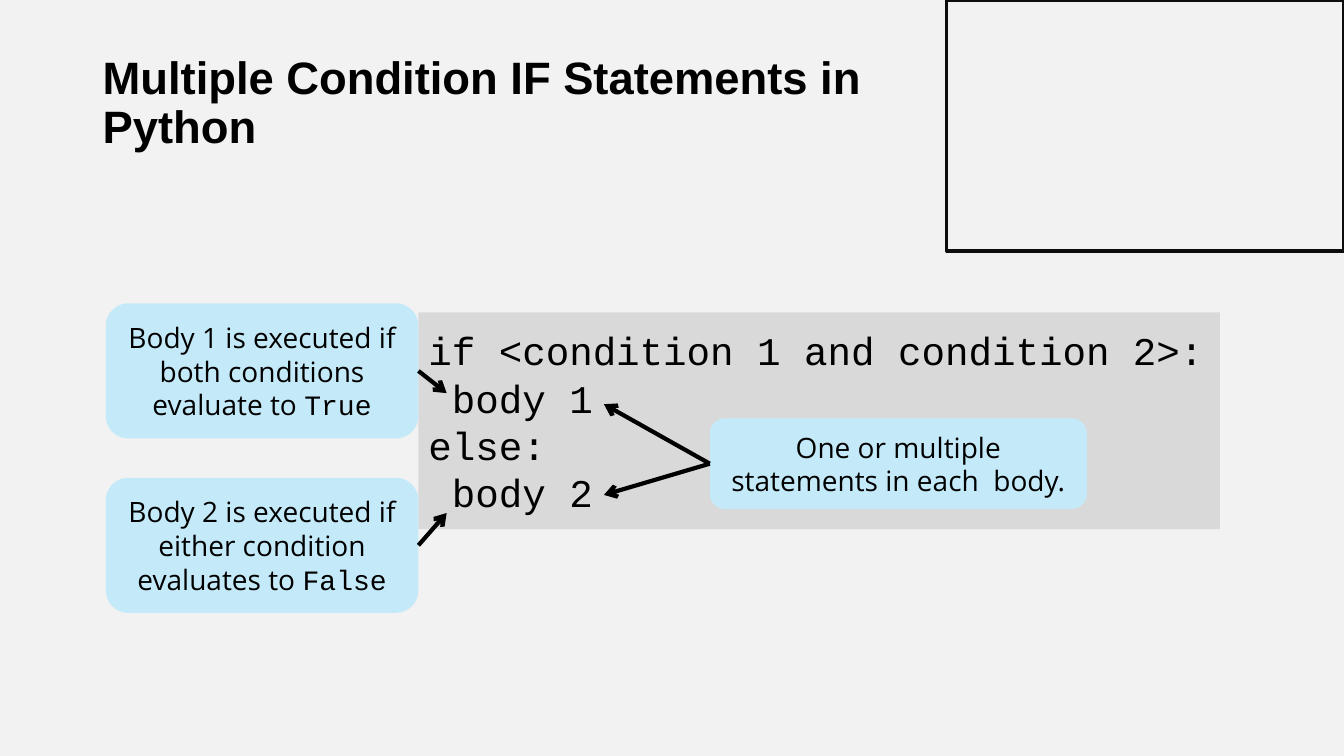
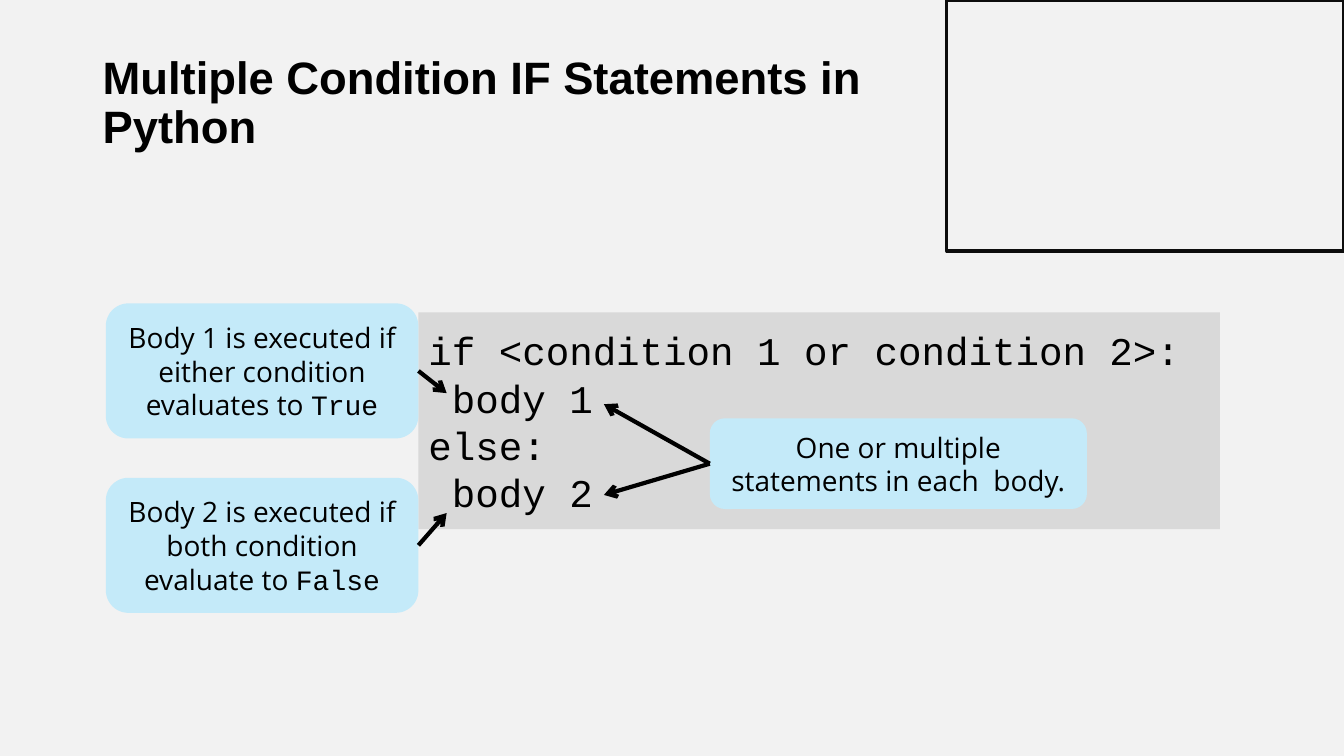
from dataclasses import dataclass

from lxml.etree import SubElement
from pptx import Presentation
from pptx.dml.color import RGBColor
from pptx.enum.shapes import MSO_CONNECTOR as Connector, MSO_SHAPE as Shape
from pptx.enum.text import MSO_ANCHOR as Anchor, PP_ALIGN as Align
from pptx.oxml.ns import qn
from pptx.util import Inches, Pt


@dataclass(frozen=True)
class Theme:
    background: str = "F2F2F2"
    ink: str = "000000"
    frame: str = "0D0D0D"
    code_panel: str = "D9D9D9"
    callout: str = "C4EAF9"
    title_font: str = "Arial"
    body_font: str = "Open Sans"
    code_font: str = "Courier New"
    title_size: float = 32.4
    code_size: float = 28
    callout_size: float = 20
    frame_width: float = 2.25
    arrow_width: float = 3


THEME = Theme()
LEFT_SIDE, RIGHT_SIDE = 1, 3  # connection sites


def write(shape, lines, *, font, size, bold=False, align=Align.LEFT, spacing=None):
    """Fill a shape with lines; each line is a list of (text, font or None) runs."""
    frame = shape.text_frame
    frame.word_wrap = True
    frame.vertical_anchor = Anchor.MIDDLE
    for number, line in enumerate(lines):
        paragraph = frame.add_paragraph() if number else frame.paragraphs[0]
        paragraph.alignment = align
        if spacing:
            paragraph.line_spacing = spacing
        for text, run_font in line:
            run = paragraph.add_run()
            run.text = text
            run.font.name = run_font or font
            run.font.size = Pt(size)
            run.font.bold = bold
            run.font.color.rgb = RGBColor.from_string(THEME.ink)


class Deck:
    """Holds the style, the presentation and the slide being built."""

    def __init__(self, theme):
        self.theme = theme
        self.prs = Presentation()
        self.prs.slide_width, self.prs.slide_height = Inches(13.33), Inches(7.5)
        fill = self.prs.slide_master.background.fill
        fill.solid()
        fill.fore_color.rgb = RGBColor.from_string(theme.background)
        self.slide = None

    def new_slide(self, title):
        """Start a slide with the shared title and corner frame."""
        self.slide = self.prs.slides.add_slide(self.prs.slide_layouts[6])
        heading = self.slide.shapes.add_textbox(
            Inches(0.92), Inches(0.5), Inches(8.83), Inches(1.07))
        write(heading, [[(title, None)]], font=self.theme.title_font,
              size=self.theme.title_size, bold=True, spacing=0.9)
        self.box(Shape.RECTANGLE, 9.39, 0, 3.94, 2.49, line=self.theme.frame)

    def box(self, preset, left, top, width, height, fill=None, line=None):
        shape = self.slide.shapes.add_shape(
            preset, Inches(left), Inches(top), Inches(width), Inches(height))
        shape.shadow.inherit = False
        if fill:
            shape.fill.solid()
            shape.fill.fore_color.rgb = RGBColor.from_string(fill)
        else:
            shape.fill.background()
        if line:
            shape.line.color.rgb = RGBColor.from_string(line)
            shape.line.width = Pt(self.theme.frame_width)
        else:
            shape.line.fill.background()
        return shape

    def code(self, lines, left, top, width, height):
        panel = self.box(Shape.RECTANGLE, left, top, width, height,
                         fill=self.theme.code_panel)
        write(panel, [[(line, None)] for line in lines],
              font=self.theme.code_font, size=self.theme.code_size)

    def callout(self, text, left, top, width, height, keyword=""):
        """Add a rounded note, optionally ending with a keyword in the code font."""
        note = self.box(Shape.ROUNDED_RECTANGLE, left, top, width, height,
                        fill=self.theme.callout)
        runs = [(text, None)]
        if keyword:
            runs.append((keyword, self.theme.code_font))
        write(note, [runs], font=self.theme.body_font,
              size=self.theme.callout_size, align=Align.CENTER)
        return note

    def arrow(self, note, side, x, y):
        """Point from the middle of a note's side to a place in the code."""
        pointer = self.slide.shapes.add_connector(
            Connector.STRAIGHT, note.left, note.top, Inches(x), Inches(y))
        pointer.begin_connect(note, side)
        pointer.line.color.rgb = RGBColor.from_string(self.theme.ink)
        pointer.line.width = Pt(self.theme.arrow_width)
        SubElement(pointer.get_or_add_ln(), qn("a:tailEnd"), type="arrow")
        SubElement(pointer._element.spPr, qn("a:effectLst"))


def condition_slide(deck, operator, when_true, when_false):
    deck.new_slide("Multiple Condition IF Statements in Python")

    # Code panel
    deck.code([f"if <condition 1 {operator} condition 2>:", " body 1", "else:", " body 2"],
              4.15, 3.1, 7.95, 2.15)

    # Note on both bodies
    statements = deck.callout("One or multiple statements in each  body.",
                              7.04, 4.15, 3.74, 0.9)
    for y in (4.01, 4.91):
        deck.arrow(statements, LEFT_SIDE, 5.99, y)

    # When each body runs
    outcomes = ((when_true, "True", 3.01, 3.9), (when_false, "False", 4.74, 5.09))
    for number, (rule, keyword, top, target_y) in enumerate(outcomes, start=1):
        outcome = deck.callout(f"Body {number} is executed if {rule} to ",
                               1.05, top, 3.1, 1.34, keyword)
        deck.arrow(outcome, RIGHT_SIDE, 4.43, target_y)


def main():
    deck = Deck(THEME)
    condition_slide(deck, "and", "both conditions evaluate", "either condition evaluates")
    condition_slide(deck, "or", "either condition evaluates", "both condition evaluate")
    deck.prs.save("out.pptx")


if __name__ == "__main__":
    main()
